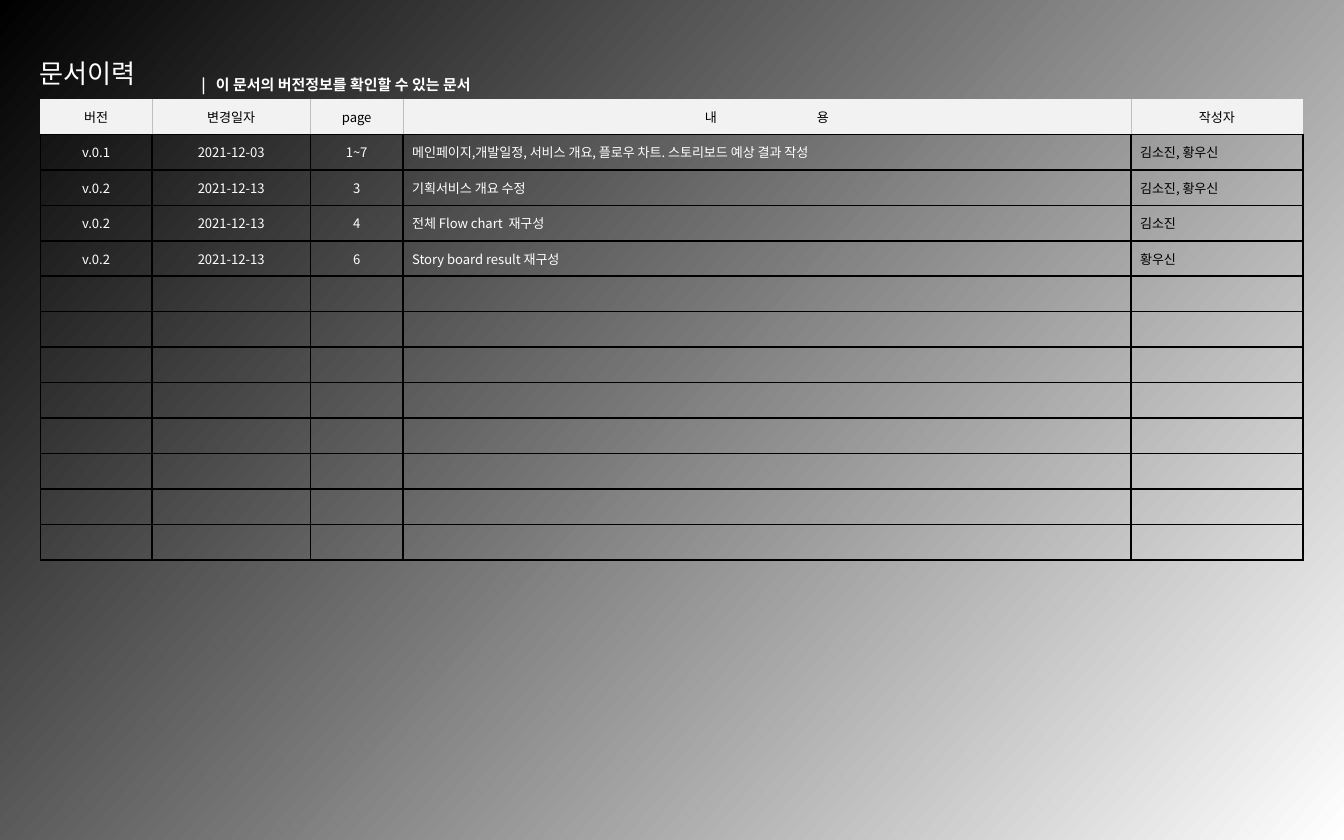
from lxml import etree
from pptx import Presentation
from pptx import util as u
from pptx.dml.color import RGBColor
from pptx.enum import text
from pptx.oxml import ns

Pt = u.Pt
FONT = "Noto Sans CJK KR"
BLACK, WHITE, HEADER_FILL, HEADER_LINE = "000000", "FFFFFF", "F2F2F2", "BFBFBF"


def style(para, size, colour, bold=False, gap=0):
    """Format every run; gap widens the space held in a run of its own."""
    for span in para.runs:
        span.font.size, span.font.bold, span.font.name = Pt(size), bold, FONT
        span.font.color.rgb = RGBColor.from_string(colour)
        props = span.font._element
        etree.SubElement(props, ns.qn("a:ea"), typeface=FONT)
        if span.text == " ":
            props.set("spc", str(int(gap * 100)))


def set_borders(cell, borders):
    """Draw the four sides from (colour, width) pairs; None hides a side."""
    props = cell._tc.get_or_add_tcPr()
    for index, side in enumerate("LRTB"):
        line = etree.Element(ns.qn(f"a:ln{side}"))
        if borders[side]:
            colour, width = borders[side]
            line.set("w", str(Pt(width)))
            fill = etree.SubElement(line, ns.qn("a:solidFill"))
            etree.SubElement(fill, ns.qn("a:srgbClr"), val=colour)
        else:
            etree.SubElement(line, ns.qn("a:noFill"))
        props.insert(index, line)


deck = Presentation()
deck.slide_width, deck.slide_height = Pt(720), Pt(450)
page = deck.slides.add_slide(deck.slide_layouts[5])

# Background
background = page.background.fill
background.gradient()
background.gradient_angle = 318
for stop, colour, position in zip(background.gradient_stops, (BLACK, WHITE), (0, 1)):
    stop.color.rgb = RGBColor.from_string(colour)
    stop.position = position

# Title and subtitle
title = page.shapes.title
title.left, title.top, title.width, title.height = Pt(14), Pt(27), Pt(120), Pt(24.5)
title.text_frame.text = "문서이력"
title.text_frame.vertical_anchor = text.MSO_ANCHOR.TOP
title.text_frame.auto_size = text.MSO_AUTO_SIZE.NONE
title_para = title.text_frame.paragraphs[0]
title_para.alignment = text.PP_ALIGN.LEFT
style(title_para, 14, WHITE)

subtitle = page.shapes.add_textbox(Pt(100.8), Pt(32.4), Pt(538), Pt(21.6))
subtitle.text_frame.word_wrap = True
subtitle_para = subtitle.text_frame.paragraphs[0]
subtitle_para.line_spacing = 1.5
for part in ("|", " ", "이 문서의 버전정보를 확인할 수 있는 문서"):
    subtitle_para.add_run().text = part
style(subtitle_para, 8, WHITE, bold=True, gap=3.6)

# Version history
widths = [59.75, 85, 49.5, 390, 92.25]
row_count, row_height = 13, 19
rows = [
    ["버전", "변경일자", "page", "내 용", "작성자"],
    ["v.0.1", "2021-12-03", "1~7",
     "메인페이지,개발일정, 서비스 개요, 플로우 차트. 스토리보드 예상 결과 작성", "김소진, 황우신"],
    ["v.0.2", "2021-12-13", "3", "기획서비스 개요 수정", "김소진, 황우신"],
    ["v.0.2", "2021-12-13", "4", "전체 Flow chart  재구성", "김소진"],
    ["v.0.2", "2021-12-13", "6", "Story board result 재구성", "황우신"],
]
rows += [[""] * len(widths)] * (row_count - len(rows))
last = len(widths) - 1

history = page.shapes.add_table(
    row_count, len(widths), Pt(21.6), Pt(53), Pt(sum(widths)), Pt(row_height * row_count)
).table
history.first_row = history.horz_banding = False
for column, width in zip(history.columns, widths):
    column.width = Pt(width)

for r, row in enumerate(rows):
    history.rows[r].height = Pt(row_height)
    for c, value in enumerate(row):
        cell = history.cell(r, c)
        cell.margin_left = cell.margin_right = Pt(5)
        cell.margin_top = cell.margin_bottom = Pt(3)
        cell.vertical_anchor = text.MSO_ANCHOR.MIDDLE
        para = cell.text_frame.paragraphs[0]
        header = r == 0
        if header or c < 3:
            para.alignment = text.PP_ALIGN.CENTER
        if value == "내 용":
            for part in value:
                para.add_run().text = part
        elif value:
            para.add_run().text = value
        else:
            para._p.get_or_add_endParaRPr().set("sz", "700")
        style(para, 7, BLACK if header or c == last else WHITE, gap=52)

        borders = dict.fromkeys("LRTB", (BLACK, 1))
        if header:
            cell.fill.solid()
            cell.fill.fore_color.rgb = RGBColor.from_string(HEADER_FILL)
            borders["T"] = None
            borders["L"] = (HEADER_LINE, 0.25) if c > 0 else None
            borders["R"] = (HEADER_LINE, 0.25) if c < last else None
        else:
            cell.fill.background()
        set_borders(cell, borders)

deck.save("out.pptx")
